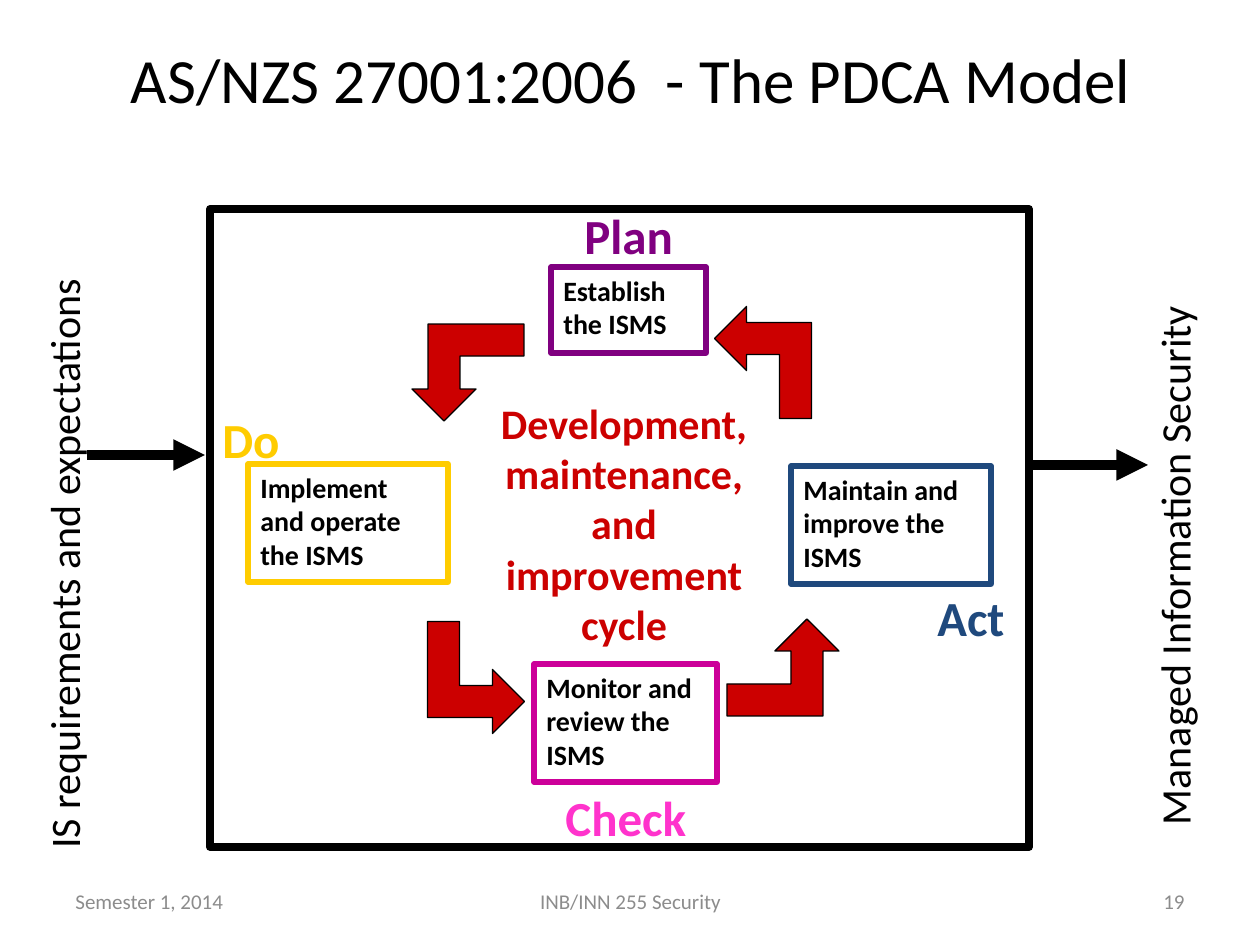
from dataclasses import dataclass

from lxml import etree
from pptx import Presentation
from pptx.dml.color import RGBColor
from pptx.enum.shapes import MSO_CONNECTOR as Connector, MSO_SHAPE as Shape
from pptx.enum.text import MSO_ANCHOR as Anchor, MSO_AUTO_SIZE as AutoSize, PP_ALIGN as Align
from pptx.oxml.ns import qn
from pptx.util import Pt

EMU_PER_PX = 914400 / 126


@dataclass(frozen=True)
class Theme:
    font: str = "Calibri"
    ink: str = "000000"
    muted: str = "8C8C8C"
    red: str = "CC0000"
    plan: str = "800080"
    do: str = "FFCC00"
    check_box: str = "CC0099"
    check: str = "FF33CC"
    act: str = "1F497D"
    title_size: int = 36
    label_size: int = 28
    body_size: int = 24
    step_size: int = 16
    footer_size: int = 12


THEME = Theme()


def px(n):
    return round(n * EMU_PER_PX)


def rgb(value):
    return RGBColor.from_string(value)


def write(sp, text, size, color=THEME.ink, bold=False, align=Align.LEFT,
          anchor=Anchor.TOP, wrap=True, grow=True):
    """Fill a shape with text, one paragraph per line."""
    tf = sp.text_frame
    tf.word_wrap = wrap
    tf.auto_size = AutoSize.SHAPE_TO_FIT_TEXT if grow else AutoSize.NONE
    tf.vertical_anchor = anchor
    for i, line in enumerate(text.split("\n")):
        p = tf.add_paragraph() if i else tf.paragraphs[0]
        p.alignment = align
        r = p.add_run()
        r.text = line
        r.font.name = THEME.font
        r.font.size = Pt(size)
        r.font.bold = bold
        r.font.color.rgb = rgb(color)


def add_text(slide, box, text, size, rotation=0, **fmt):
    sp = slide.shapes.add_textbox(*map(px, box))
    sp.rotation = rotation
    write(sp, text, size, **fmt)


def add_preset(slide, kind, box, line, width, fill=None):
    sp = slide.shapes.add_shape(kind, *map(px, box))
    sp.shadow.inherit = False
    if fill:
        sp.fill.solid()
        sp.fill.fore_color.rgb = rgb(fill)
    else:
        sp.fill.background()
    sp.line.color.rgb = rgb(line)
    sp.line.width = Pt(width)
    return sp


def add_stage(slide, box, step, border, label_box, label, color):
    """A PDCA stage: outlined step and its coloured name."""
    sp = add_preset(slide, Shape.RECTANGLE, box, border, 3)
    write(sp, step, THEME.step_size, bold=True)
    add_text(slide, label_box, label, THEME.label_size, color=color, bold=True, wrap=False)


def add_cycle_arrow(slide, x, y, rotation):
    sp = add_preset(slide, Shape.BENT_UP_ARROW, (x, y, 112, 97), THEME.ink, 0.75, THEME.red)
    for i in range(3):
        sp.adjustments[i] = 0.33
    sp.rotation = rotation


def add_flow_arrow(slide, x1, x2, y):
    cxn = slide.shapes.add_connector(Connector.STRAIGHT, px(x1), px(y), px(x2), px(y))
    cxn.line.color.rgb = rgb(THEME.ink)
    cxn.line.width = Pt(6)
    etree.SubElement(cxn.line._get_or_add_ln(), qn("a:tailEnd"), type="triangle")
    etree.SubElement(cxn._element.spPr, qn("a:effectLst"))


def main():
    prs = Presentation()
    prs.slide_width, prs.slide_height = px(1260), px(945)
    slide = prs.slides.add_slide(prs.slide_layouts[6])

    # Footer and title
    for x, w, text, align in (
        (63, 294, "Semester 1, 2014", Align.LEFT),
        (431, 399, "INB/INN 255 Security", Align.CENTER),
        (903, 294, "19", Align.RIGHT),
    ):
        add_text(slide, (x, 876, w, 50), text, THEME.footer_size, color=THEME.muted,
                 align=align, anchor=Anchor.MIDDLE, grow=False)
    add_text(slide, (64, 26, 1134, 105), "AS/NZS 27001:2006  - The PDCA Model",
             THEME.title_size, align=Align.CENTER, anchor=Anchor.MIDDLE, grow=False)

    # Frame and the four stages
    add_preset(slide, Shape.RECTANGLE, (210, 209, 819, 638), THEME.ink, 4.5)
    for stage in (
        ((551, 267, 155, 86), "Establish the ISMS", THEME.plan,
         (572, 199, 129, 72), "Plan", THEME.plan),
        ((534, 664, 183, 118), "Monitor and review the ISMS", THEME.check_box,
         (553, 781, 173, 72), "Check", THEME.check),
        ((791, 466, 200, 118), "Maintain and improve the ISMS", THEME.act,
         (925, 581, 105, 72), "Act", THEME.act),
        ((248, 464, 200, 118), "Implement and operate the ISMS", THEME.do,
         (210, 403, 91, 72), "Do", THEME.do),
    ):
        add_stage(slide, *stage)

    # Centre of the cycle and its arrows
    add_text(slide, (457, 391, 334, 265),
             "Development,\nmaintenance,\nand\nimprovement\ncycle",
             THEME.body_size, color=THEME.red, bold=True, align=Align.CENTER)
    for x, y, rotation in ((727, 619, 0), (412, 324, 180), (707, 314, 270), (420, 629, 90)):
        add_cycle_arrow(slide, x, y, rotation)

    # Input and output of the process
    for box, text, x1, x2, y in (
        ((-262, 504, 651, 63), "IS requirements and expectations", 87, 205, 455),
        ((881, 513, 586, 63), "Managed Information Security", 1029, 1148, 465),
    ):
        add_text(slide, box, text, THEME.body_size, rotation=270, wrap=False)
        add_flow_arrow(slide, x1, x2, y)

    prs.save("out.pptx")


if __name__ == "__main__":
    main()
